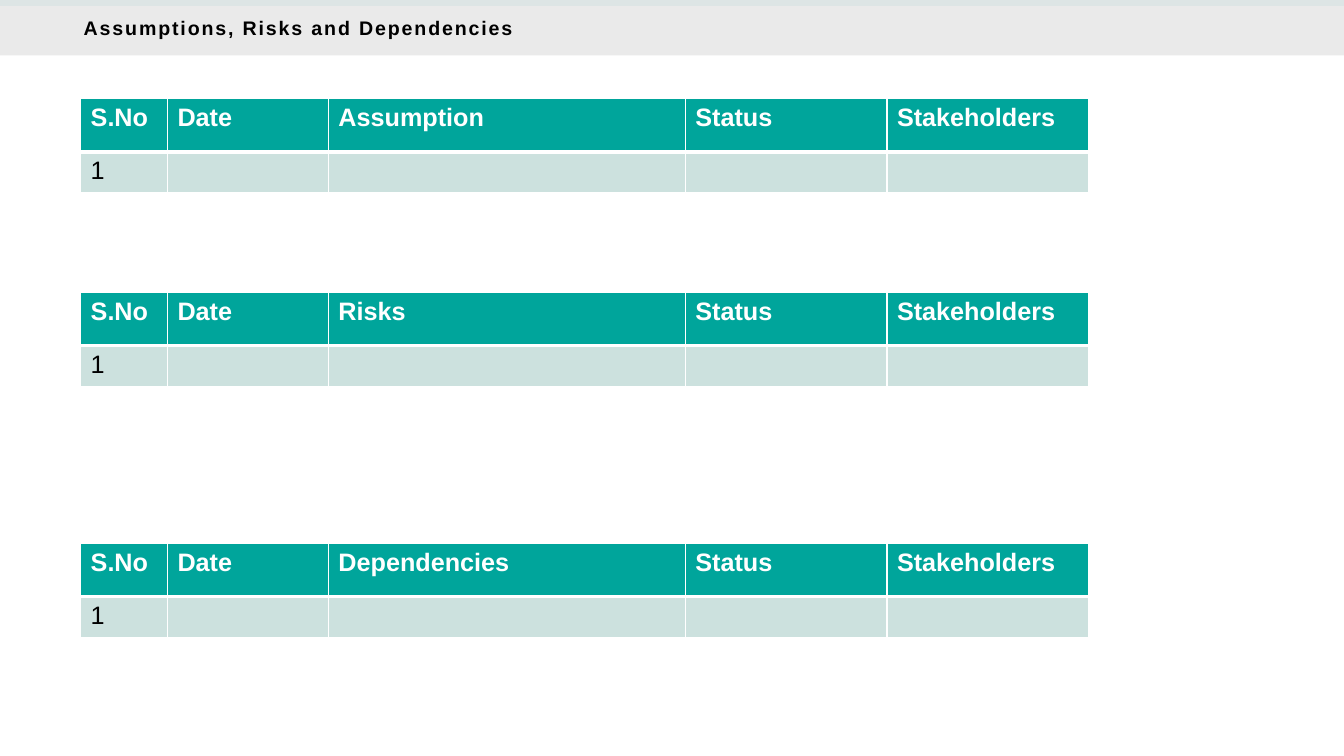
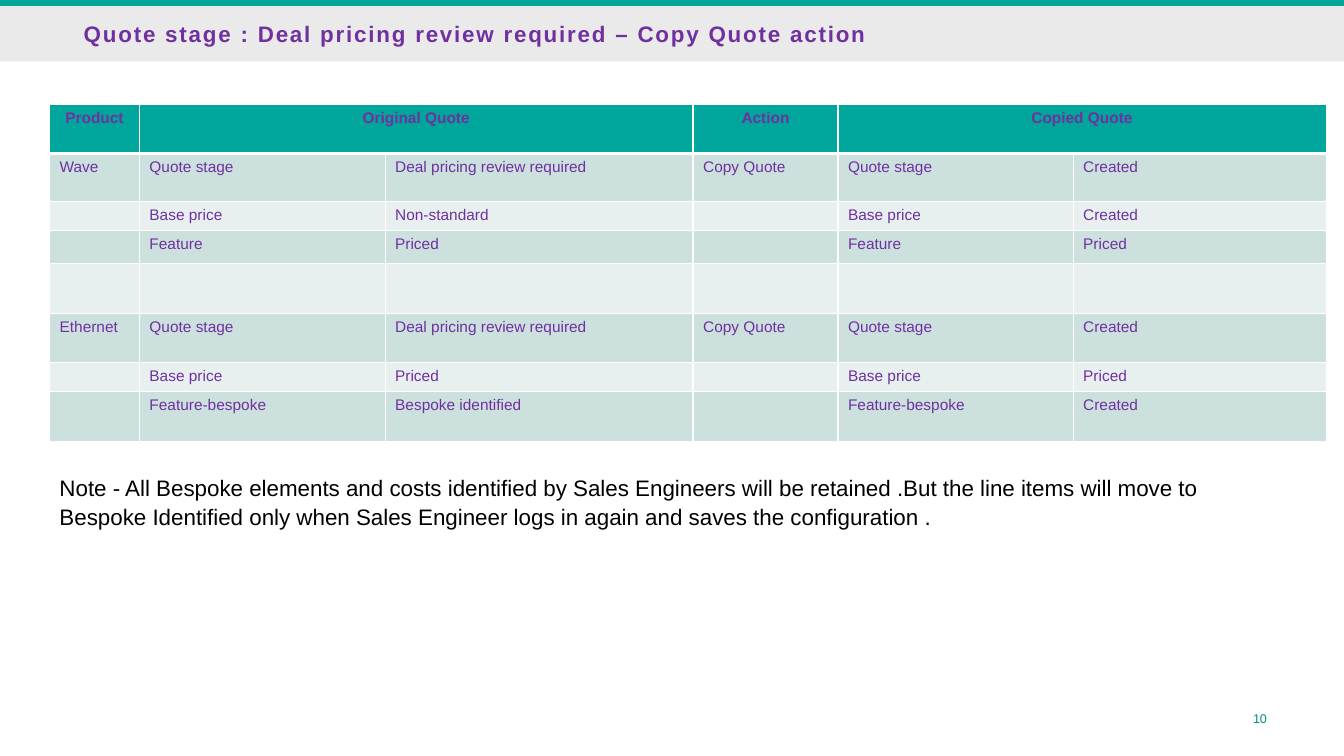
"""Build two project slides: a risk register and a quote stage review."""
from lxml import etree
from pptx import Presentation
from pptx.dml.color import RGBColor
from pptx.enum import shapes, text
from pptx.oxml import ns
from pptx.util import Pt

WIDTH, HEIGHT = 960, 540
FONT = "Arial"
TEAL, PAGE_TEAL, BAND = "00A59B", "008C83", "E9E9E9"
ROW_FILLS = ("CCE1DE", "E7F0EF")
WHITE, BLACK, PURPLE = "FFFFFF", "000000", "7030A0"
RULE, HEADER_RULE = 1, 3

REGISTERS = (("Assumption", 70.6), ("Risks", 208.8), ("Dependencies", 388))
REGISTER_COLUMNS = (62, 115, 255, 144, 144)
REGISTER_ROWS = (38, 29.2)

QUOTE_COLUMNS = (64.2, 175.5, 220, 103.5, 168, 180.7)
QUOTE_ROWS = (35.1, 34.1, 20.9, 23.7, 35.5, 35.1, 20.9, 35.5)
QUOTE_DATA = (
    ("Product", "Original Quote", None, "Action", "Copied Quote", None),
    ("Wave", "Quote stage", "Deal pricing review required", "Copy Quote", "Quote stage", "Created"),
    ("", "Base price", "Non-standard", "", "Base price", "Created"),
    ("", "Feature", "Priced", "", "Feature", "Priced"),
    ("", "", "", "", "", ""),
    ("Ethernet", "Quote stage", "Deal pricing review required", "Copy Quote", "Quote stage", "Created"),
    ("", "Base price", "Priced", "", "Base price", "Priced"),
    ("", "Feature-bespoke", "Bespoke identified", "", "Feature-bespoke", "Created"),
)
NOTE = (
    "Note - All Bespoke elements and costs identified by Sales Engineers will be retained ."
    "But the line items will move to Bespoke Identified only when Sales Engineer logs in again "
    "and saves the configuration ."
)


def rgb(color):
    return RGBColor.from_string(color)


def add_run(paragraph, wording, size, color, bold=False):
    run = paragraph.add_run()
    run.text = wording
    run.font.name, run.font.size, run.font.bold = FONT, Pt(size), bold
    run.font.color.rgb = rgb(color)
    return run


def add_band(slide, top, height, color):
    shape = slide.shapes.add_shape(
        shapes.MSO_SHAPE.RECTANGLE, Pt(0), Pt(top), Pt(WIDTH), Pt(height)
    )
    shape.shadow.inherit = False
    shape.fill.solid()
    shape.fill.fore_color.rgb = rgb(color)
    shape.line.fill.background()
    return shape


def set_insets(frame, left=0):
    frame.margin_left = Pt(left)
    frame.margin_top = frame.margin_right = frame.margin_bottom = Pt(0)
    frame.vertical_anchor = text.MSO_ANCHOR.MIDDLE


def start_slide(presentation, title, top, size, color):
    slide = presentation.slides.add_slide(presentation.slide_layouts[6])
    add_band(slide, 0, 4.3, TEAL)
    title_band = add_band(slide, top, 39.6, BAND)
    fill_color = title_band._element.spPr.find(".//" + ns.qn("a:srgbClr"))
    etree.SubElement(fill_color, ns.qn("a:alpha"), val="95000")
    frame = title_band.text_frame
    frame.word_wrap = True
    set_insets(frame, 59.8)
    paragraph = frame.paragraphs[0]
    paragraph.alignment = text.PP_ALIGN.LEFT
    run = add_run(paragraph, title, size, color, True)
    run.font._element.set("spc", "130")
    return slide


def set_borders(cell, top, bottom):
    properties = cell._tc.get_or_add_tcPr()
    for side, width in (("L", RULE), ("R", RULE), ("T", top), ("B", bottom)):
        line = etree.SubElement(properties, ns.qn("a:ln" + side), w=str(Pt(width)))
        fill = etree.SubElement(line, ns.qn("a:solidFill"))
        etree.SubElement(fill, ns.qn("a:srgbClr"), val=WHITE)


def add_table(slide, left, top, columns, rows, data, size, header_color, body_color, header_align):
    table = slide.shapes.add_table(
        len(rows), len(columns), Pt(left), Pt(top), Pt(sum(columns)), Pt(sum(rows))
    ).table
    for column, width in zip(table.columns, columns):
        column.width = Pt(width)
    for row, height in zip(table.rows, rows):
        row.height = Pt(height)
    for r, values in enumerate(data):
        header = r == 0
        for c, value in enumerate(values):
            cell = table.cell(r, c)
            set_borders(cell, HEADER_RULE if r == 1 else RULE, HEADER_RULE if header else RULE)
            cell.fill.solid()
            cell.fill.fore_color.rgb = rgb(TEAL if header else ROW_FILLS[(r - 1) % 2])
            paragraph = cell.text_frame.paragraphs[0]
            if value:
                paragraph.alignment = header_align if header else text.PP_ALIGN.LEFT
                add_run(paragraph, value, size, header_color if header else body_color, header)
            else:
                etree.SubElement(paragraph._p, ns.qn("a:endParaRPr"), sz=str(size * 100))
            if value is None:
                table.cell(r, c - 1).merge(cell)


def add_text_box(slide, left, top, width, height):
    frame = slide.shapes.add_textbox(Pt(left), Pt(top), Pt(width), Pt(height)).text_frame
    frame.word_wrap = True
    return frame


def build_registers(presentation):
    slide = start_slide(presentation, "Assumptions, Risks and Dependencies", 0, 14, BLACK)
    for subject, top in REGISTERS:
        data = (("S.No", "Date", subject, "Status", "Stakeholders"), ("1", "", "", "", ""))
        add_table(slide, 57.6, top, REGISTER_COLUMNS, REGISTER_ROWS, data,
                  18, WHITE, BLACK, text.PP_ALIGN.LEFT)


def build_quote_review(presentation):
    title = "Quote stage : Deal pricing review required – Copy Quote action"
    slide = start_slide(presentation, title, 4.3, 16, PURPLE)
    page_frame = add_text_box(slide, 874, 508.3, 31, 10)
    set_insets(page_frame)
    paragraph = page_frame.paragraphs[0]
    paragraph.alignment = text.PP_ALIGN.RIGHT
    add_run(paragraph, "10", 9, PAGE_TEAL)
    add_table(slide, 35.4, 74.5, QUOTE_COLUMNS, QUOTE_ROWS, QUOTE_DATA,
              11, PURPLE, PURPLE, text.PP_ALIGN.CENTER)
    paragraph = add_text_box(slide, 35.4, 334.8, 838.8, 70.6).paragraphs[0]
    add_run(paragraph, NOTE, 16, BLACK)
    add_run(paragraph, " ", 18, BLACK)


def main():
    presentation = Presentation()
    presentation.slide_width, presentation.slide_height = Pt(WIDTH), Pt(HEIGHT)
    build_registers(presentation)
    build_quote_review(presentation)
    presentation.save("out.pptx")


if __name__ == "__main__":
    main()
